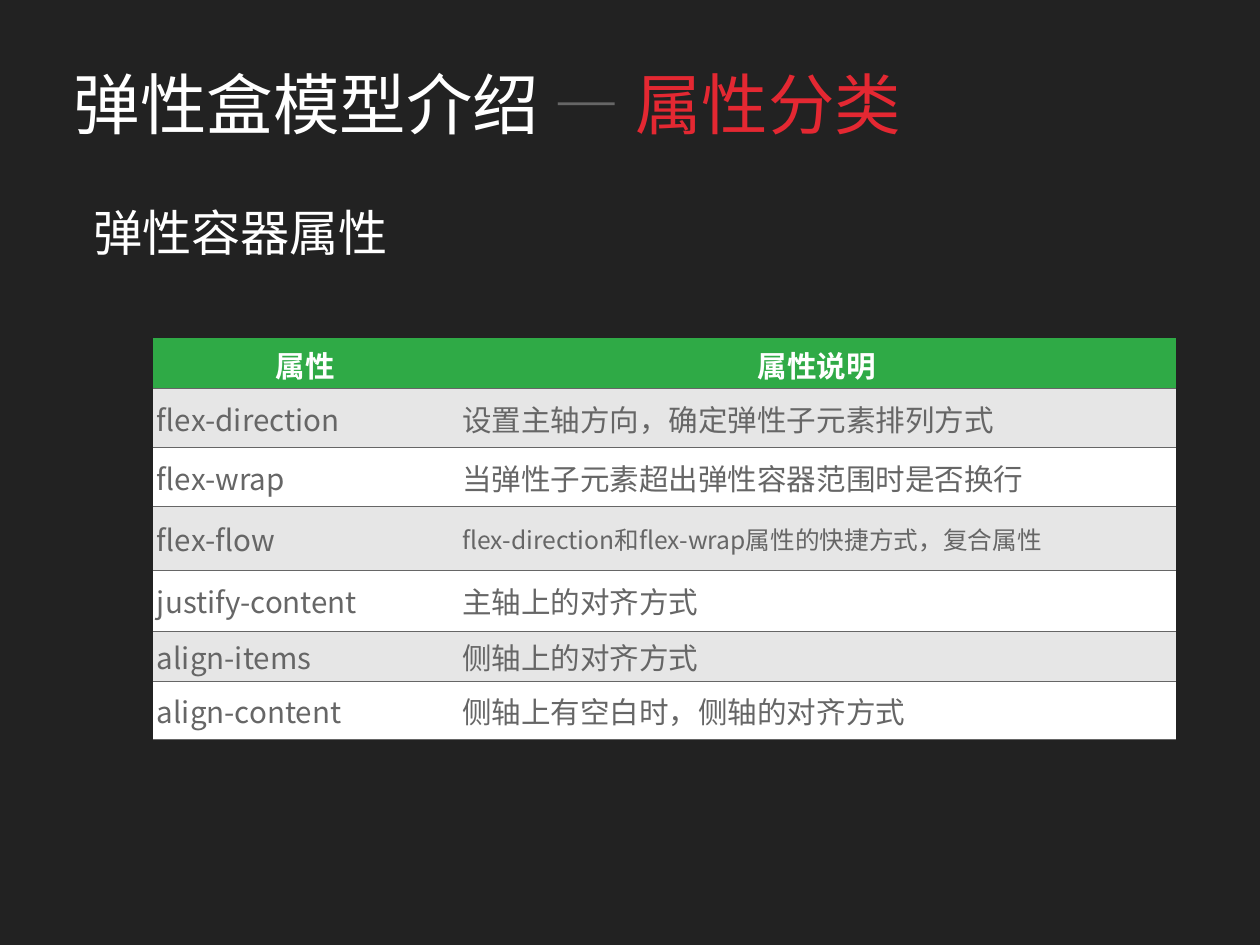
from lxml import etree
from pptx import Presentation
from pptx.dml.color import RGBColor
from pptx.enum import text as t
from pptx.oxml import ns
from pptx.util import Pt

FONT = "Noto Sans CJK SC"
DARK = RGBColor(0x22, 0x22, 0x22)
WHITE = RGBColor(0xFF, 0xFF, 0xFF)
GREY = RGBColor(0x66, 0x66, 0x66)
PALE = RGBColor(0xE6, 0xE6, 0xE6)
RED = RGBColor(0xE4, 0x28, 0x32)
GREEN = RGBColor(0x2F, 0xAA, 0x46)

ROWS = [
    ("属性", "属性说明"),
    ("flex-direction", "设置主轴方向，确定弹性子元素排列方式"),
    ("flex-wrap", "当弹性子元素超出弹性容器范围时是否换行"),
    ("flex-flow", "flex-direction和flex-wrap属性的快捷方式，复合属性"),
    ("justify-content", "主轴上的对齐方式"),
    ("align-items", "侧轴上的对齐方式"),
    ("align-content", "侧轴上有空白时，侧轴的对齐方式"),
]
HEIGHTS = [41, 48, 48, 52, 49, 41, 47]
SHARE = 0.298  # width share of the name column
PAD = 3.6


def add_run(para, words, size, color, bold=False):
    """Add one styled run, with the font set for East Asian text too."""
    run = para.add_run()
    run.text = words
    font = run.font
    font.name, font.size, font.bold = FONT, Pt(size), bold
    font.color.rgb = color
    east = etree.SubElement(run._r.get_or_add_rPr(), ns.qn("a:ea"))
    east.set("typeface", FONT)


def set_pad(item, pad):
    """Give a text frame or a cell the same margin on all sides."""
    item.margin_left = item.margin_right = Pt(pad)
    item.margin_top = item.margin_bottom = Pt(pad)


def add_box(slide, box, pad):
    """Add a text box and return its frame."""
    frame = slide.shapes.add_textbox(*map(Pt, box)).text_frame
    set_pad(frame, pad)
    return frame


def add_title(slide, box):
    """Write the three-colour title, centred vertically in the box."""
    frame = add_box(slide, box, 0)
    frame.word_wrap = True
    frame.vertical_anchor = t.MSO_ANCHOR.MIDDLE
    parts = [("弹性盒模型介绍", WHITE), (" — ", GREY), ("属性分类", RED)]
    for words, color in parts:
        add_run(frame.paragraphs[0], words, 54, color)


def add_head(slide, box):
    """Write the section heading with a first-line indent."""
    frame = add_box(slide, box, PAD)
    frame.word_wrap = False
    frame.auto_size = t.MSO_AUTO_SIZE.SHAPE_TO_FIT_TEXT
    para = frame.paragraphs[0]
    para.line_spacing = 1.4
    para._p.get_or_add_pPr().set("indent", str(Pt(15)))
    add_run(para, "弹性容器属性", 40, WHITE)


def set_lines(cell, top):
    """Rule the bottom of a cell, and its top if asked; clear the sides."""
    props = cell._tc.get_or_add_tcPr()
    drawn = {"lnL": False, "lnR": False, "lnT": top, "lnB": True}
    for i, (tag, shown) in enumerate(drawn.items()):
        line = etree.Element(ns.qn("a:" + tag), w=str(Pt(1)))
        props.insert(i, line)
        if shown:
            fill = etree.SubElement(line, ns.qn("a:solidFill"))
            etree.SubElement(fill, ns.qn("a:srgbClr"), val=str(GREY))
        else:
            etree.SubElement(line, ns.qn("a:noFill"))


def add_grid(slide, box):
    """Build the table of container properties."""
    shape = slide.shapes.add_table(len(ROWS), 2, *map(Pt, box))
    table = shape.table
    table.first_row = table.horz_banding = False
    first = round(box[2] * SHARE)
    for col, width in zip(table.columns, (first, box[2] - first)):
        col.width = Pt(width)
    for r, (row, high) in enumerate(zip(ROWS, HEIGHTS)):
        table.rows[r].height = Pt(high)
        head = r == 0
        back = GREEN if head else PALE if r % 2 else WHITE
        for c, words in enumerate(row):
            cell = table.cell(r, c)
            set_pad(cell, PAD)
            cell.vertical_anchor = t.MSO_ANCHOR.MIDDLE
            cell.fill.solid()
            cell.fill.fore_color.rgb = back
            set_lines(cell, top=not head)
            para = cell.text_frame.paragraphs[0]
            para.alignment = t.PP_ALIGN.CENTER if head else t.PP_ALIGN.LEFT
            size = 20 if (r, c) == (3, 1) else 24
            add_run(para, words, size, WHITE if head else GREY, head)


def main():
    """Build the slide and save it."""
    deck = Presentation()
    deck.slide_width, deck.slide_height = Pt(1024), Pt(768)
    slide = deck.slides.add_slide(deck.slide_layouts[6])
    slide.background.fill.solid()
    slide.background.fill.fore_color.rgb = DARK
    add_title(slide, (60, 34, 960, 100))
    add_grid(slide, (124, 275, 832, sum(HEIGHTS)))
    add_head(slide, (57, 142, 264, 63))
    deck.save("out.pptx")


main()
